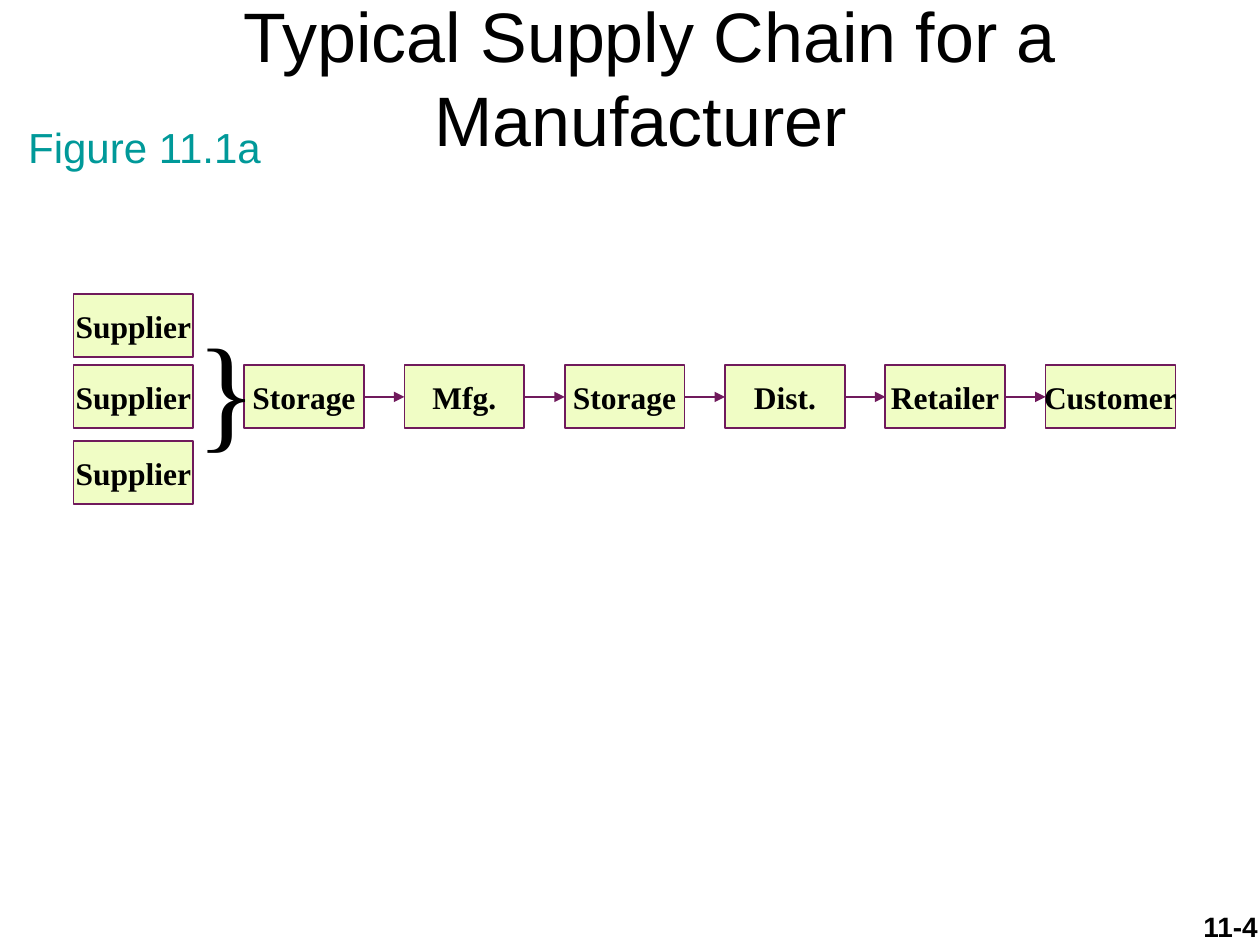
from lxml.etree import SubElement
from pptx import Presentation
from pptx.dml.color import RGBColor
from pptx.enum.shapes import MSO_CONNECTOR, MSO_SHAPE
from pptx.enum.text import MSO_ANCHOR, PP_ALIGN
from pptx.oxml.ns import qn
from pptx.util import Pt

COLORS = {"text": "000000", "caption": "009999", "box": "F0FDC5", "line": "701A5C"}

BOX_WIDTH, BOX_HEIGHT = 68.4, 36
CUSTOMER_WIDTH = 74.2
SUPPLIER_LEFT = 42
SUPPLIER_TOPS = (168, 208.8, 252)
CHAIN_LEFT, CHAIN_TOP, CHAIN_STEP = 139.5, 208.8, 91.6
STAGES = ("Storage", "Mfg.", "Storage", "Dist.", "Retailer", "Customer")


def color(name):
    return RGBColor.from_string(COLORS[name])


def write_text(shape, text, size, font_name, color_name="text", bold=False,
               align=PP_ALIGN.LEFT, anchor=MSO_ANCHOR.TOP, wrap=True):
    text_frame = shape.text_frame
    text_frame.text = text
    text_frame.word_wrap = wrap
    text_frame.vertical_anchor = anchor
    paragraph = text_frame.paragraphs[0]
    paragraph.alignment = align
    font = paragraph.runs[0].font
    font.name = font_name
    font.size = Pt(size)
    font.bold = bold
    font.color.rgb = color(color_name)


def add_label(slide, left, top, width, height, text, size, font_name, **style):
    label = slide.shapes.add_textbox(Pt(left), Pt(top), Pt(width), Pt(height))
    write_text(label, text, size, font_name, **style)


def add_box(slide, left, top, text, width=BOX_WIDTH):
    box = slide.shapes.add_shape(
        MSO_SHAPE.RECTANGLE, Pt(left), Pt(top), Pt(width), Pt(BOX_HEIGHT))
    box.shadow.inherit = False
    box.fill.solid()
    box.fill.fore_color.rgb = color("box")
    box.line.color.rgb = color("line")
    box.line.width = Pt(1)
    write_text(box, text, 18, "Times New Roman", bold=True,
               align=PP_ALIGN.CENTER, anchor=MSO_ANCHOR.MIDDLE, wrap=False)
    return box


def add_arrow(slide, source, target):
    arrow = slide.shapes.add_connector(MSO_CONNECTOR.STRAIGHT, 0, 0, 0, 0)
    arrow.begin_connect(source, 3)
    arrow.end_connect(target, 1)
    arrow.line.color.rgb = color("line")
    arrow.line.width = Pt(1)
    SubElement(arrow.line._get_or_add_ln(), qn("a:tailEnd"), type="triangle")
    SubElement(arrow._element.spPr, qn("a:effectLst"))


def add_chain(slide):
    previous = None
    for index, stage in enumerate(STAGES):
        width = CUSTOMER_WIDTH if stage == "Customer" else BOX_WIDTH
        box = add_box(slide, CHAIN_LEFT + index * CHAIN_STEP, CHAIN_TOP, stage, width)
        if previous is not None:
            add_arrow(slide, previous, box)
        previous = box


def main():
    presentation = Presentation()
    presentation.slide_width, presentation.slide_height = Pt(720), Pt(540)
    slide = presentation.slides.add_slide(presentation.slide_layouts[6])

    add_label(slide, 558, 516.2, 167.8, 37.4, "11-4", 16, "Arial",
              bold=True, align=PP_ALIGN.RIGHT)
    add_label(slide, 60, 30, 612, 65.5, " Typical Supply Chain for a Manufacturer",
              40, "Arial", align=PP_ALIGN.CENTER, anchor=MSO_ANCHOR.BOTTOM)
    for top in SUPPLIER_TOPS:
        add_box(slide, SUPPLIER_LEFT, top, "Supplier")
    add_chain(slide)
    add_label(slide, 105, 174.2, 40.3, 93.6, "}", 72, "Times New Roman")
    add_label(slide, 9, 66, 149, 36, "Figure 11.1a", 24, "Arial",
              color_name="caption", wrap=False)

    presentation.save("out.pptx")


if __name__ == "__main__":
    main()
